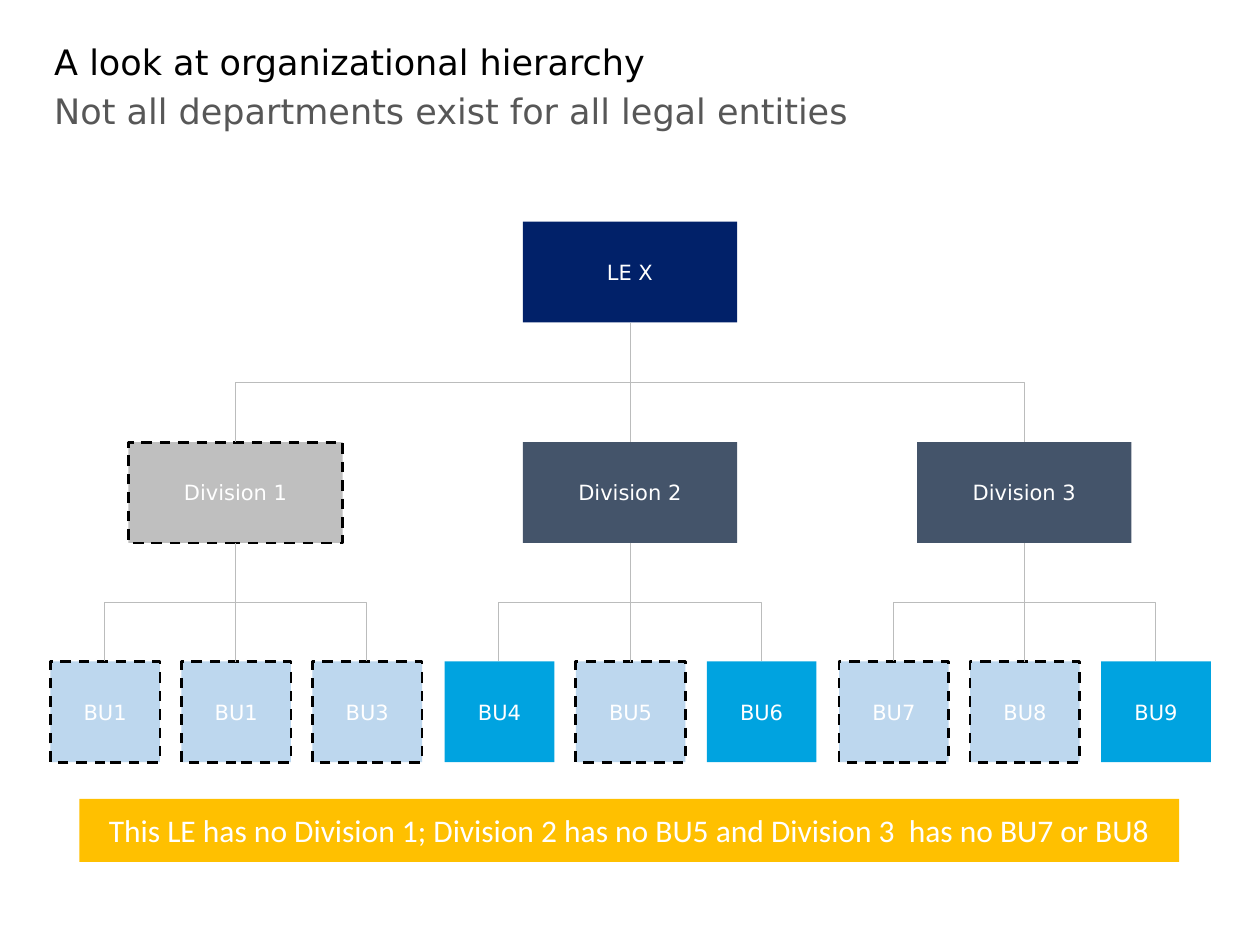
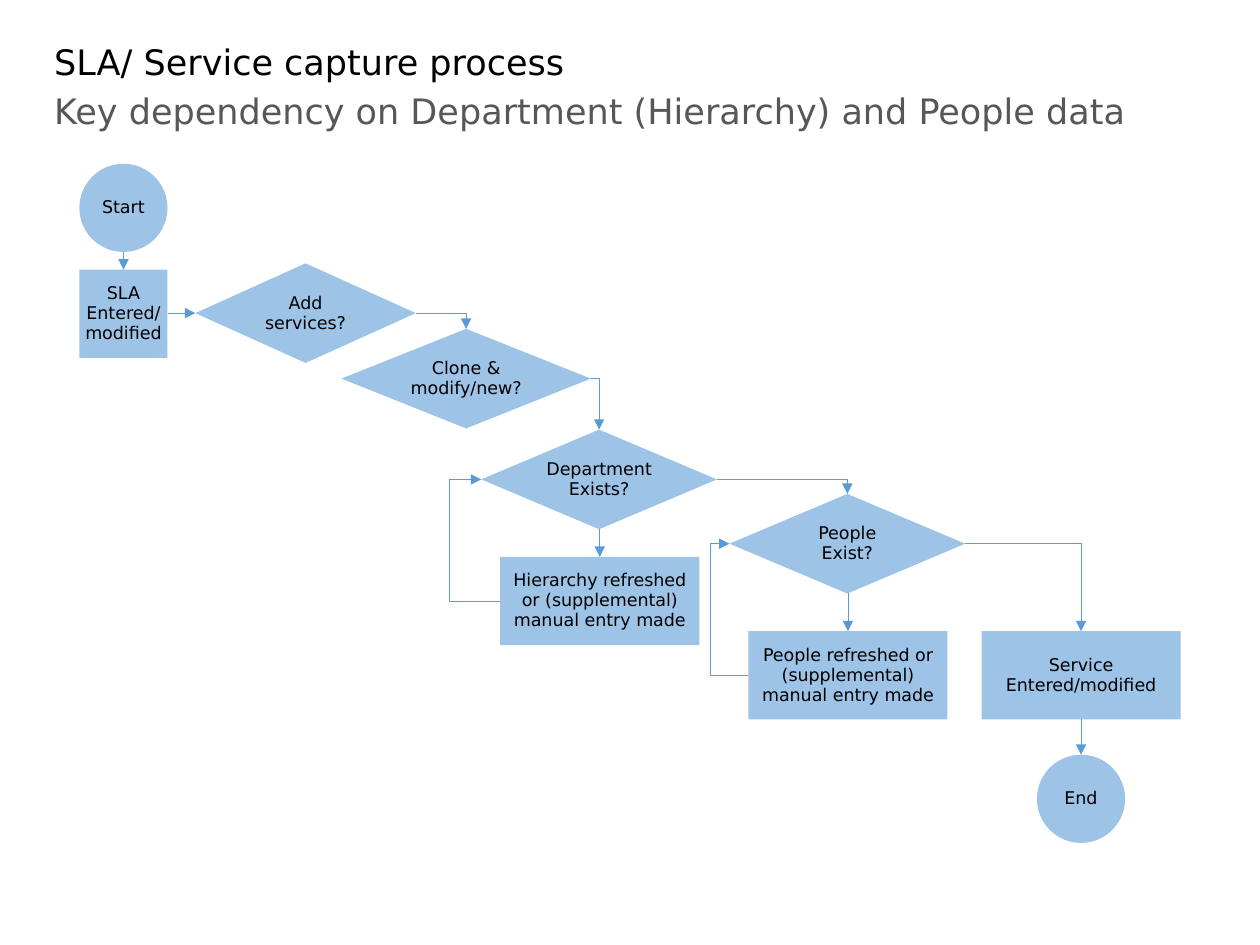
from lxml.etree import SubElement
from pptx import Presentation
from pptx.dml.color import RGBColor
from pptx.enum.dml import MSO_LINE
from pptx.enum.shapes import MSO_CONNECTOR as LINK, MSO_SHAPE as SHAPE
from pptx.enum.text import MSO_ANCHOR, MSO_AUTO_SIZE, PP_ALIGN
from pptx.oxml.ns import qn
from pptx.util import Pt

PX = 9144  # 100 px to the inch
BLACK = RGBColor(0x00, 0x00, 0x00)
WHITE = RGBColor(0xFF, 0xFF, 0xFF)
GREY_TEXT = RGBColor(0x57, 0x57, 0x57)
NAVY = RGBColor(0x01, 0x21, 0x69)
SLATE = RGBColor(0x44, 0x54, 0x6A)
ABSENT_GREY = RGBColor(0xBF, 0xBF, 0xBF)
ABSENT_BLUE = RGBColor(0xBD, 0xD7, 0xEE)
CYAN = RGBColor(0x00, 0xA3, 0xE0)
AMBER = RGBColor(0xFF, 0xC0, 0x00)
TREE_LINE = RGBColor(0xBB, 0xBC, 0xBC)
FLOW_FILL = RGBColor(0x9D, 0xC3, 0xE6)
FLOW_LINE = RGBColor(0x5B, 0x9B, 0xD5)
FONT = "DejaVu Sans"


def add_box(slide, kind, bounds, text, fill, color=WHITE, size=12, inset=10,
            font=FONT, spacing=None, dashed=False):
    box = slide.shapes.add_shape(kind, *(n * PX for n in bounds))
    box.shadow.inherit = False
    box.fill.solid()
    box.fill.fore_color.rgb = fill
    if dashed:
        box.line.color.rgb = BLACK
        box.line.width = Pt(1.5)
        box.line.dash_style = MSO_LINE.DASH
    else:
        box.line.fill.background()
    frame = box.text_frame
    frame.text = text
    frame.word_wrap = True
    frame.vertical_anchor = MSO_ANCHOR.MIDDLE
    frame.margin_left = frame.margin_right = inset * PX
    frame.margin_top = frame.margin_bottom = min(inset, 5) * PX
    paragraph = frame.paragraphs[0]
    paragraph.alignment = PP_ALIGN.CENTER
    paragraph.line_spacing = spacing
    run_font = paragraph.runs[0].font
    run_font.name, run_font.size, run_font.color.rgb = font, Pt(size), color


def add_link(slide, kind, start, end, color, rotation=0, flip=False, arrow=False):
    link = slide.shapes.add_connector(kind, *(int(n * PX) for n in (*start, *end)))
    link.line.color.rgb = color
    link.line.width = Pt(0.5)
    props = link.element.spPr
    if rotation:
        props.xfrm.set("rot", str(rotation * 60000))
    if flip:
        props.xfrm.set("flipH", "1")
    if arrow:
        SubElement(props.find(qn("a:ln")), qn("a:tailEnd"), type="triangle")
    SubElement(props, qn("a:effectLst"))
    return props.find(qn("a:prstGeom"))


prs = Presentation()
prs.slide_width, prs.slide_height = 1000 * PX, 750 * PX

# Titles and subtitles of both slides
headings = [
    ("A look at organizational hierarchy",
     "Not all departments exist for all legal entities"),
    ("SLA/ Service capture process",
     "Key dependency on Department (Hierarchy) and People data"),
]
for title_text, subtitle_text in headings:
    slide = prs.slides.add_slide(prs.slide_layouts[5])
    title = slide.shapes.title
    title.left, title.top, title.width, title.height = (n * PX for n in (43, 32, 913, 51))
    subtitle = slide.shapes.add_textbox(*(n * PX for n in (43, 71, 913, 83)))
    for part, text, color in ((title, title_text, BLACK), (subtitle, subtitle_text, GREY_TEXT)):
        frame = part.text_frame
        frame.text = text
        frame.word_wrap = True
        frame.auto_size = MSO_AUTO_SIZE.NONE
        frame.vertical_anchor = MSO_ANCHOR.TOP
        frame.margin_left = frame.margin_right = frame.margin_top = frame.margin_bottom = 0
        frame.paragraphs[0].alignment = PP_ALIGN.LEFT
        run_font = frame.paragraphs[0].runs[0].font
        run_font.name, run_font.size, run_font.color.rgb = FONT, Pt(20), color
hierarchy, process = prs.slides

# Hierarchy: legal entity, divisions and business units (True where present)
divisions = [
    ("Division 1", False, [("BU1", False), ("BU1", False), ("BU3", False)]),
    ("Division 2", True, [("BU4", True), ("BU5", False), ("BU6", True)]),
    ("Division 3", True, [("BU7", False), ("BU8", False), ("BU9", True)]),
]
ENTITY_X, ENTITY_Y, LEVEL, BOX_H = 500, 176, 175, 80
DIVISION_Y, UNIT_Y = ENTITY_Y + LEVEL, ENTITY_Y + 2 * LEVEL - 1
branches = []
add_box(hierarchy, SHAPE.RECTANGLE, (ENTITY_X - 85, ENTITY_Y, 170, BOX_H), "LE X", NAVY)
for i, (division, present, units) in enumerate(divisions):
    division_x = ENTITY_X + (i - 1) * 313
    add_box(hierarchy, SHAPE.RECTANGLE, (division_x - 85, DIVISION_Y, 170, BOX_H), division,
            SLATE if present else ABSENT_GREY, dashed=not present)
    branches.append((ENTITY_X, ENTITY_Y + BOX_H, division_x, DIVISION_Y))
    for j, (unit, present) in enumerate(units):
        unit_x = division_x + (j - 1) * 104
        add_box(hierarchy, SHAPE.RECTANGLE, (unit_x - 43, UNIT_Y, 87, BOX_H), unit,
                CYAN if present else ABSENT_BLUE, dashed=not present)
        branches.append((division_x, DIVISION_Y + BOX_H, unit_x, UNIT_Y))

# Tree lines: a bend that leaves downwards is a sideways elbow, turned
for x1, y1, x2, y2 in branches:
    if x1 == x2:
        add_link(hierarchy, LINK.STRAIGHT, (x1, y1), (x2, y2), TREE_LINE)
        continue
    mid_x, mid_y = (x1 + x2) / 2, (y1 + y2) / 2
    half_w, half_h = (y2 - y1) / 2, abs(x2 - x1) / 2
    add_link(hierarchy, LINK.ELBOW, (mid_x - half_w, mid_y - half_h),
             (mid_x + half_w, mid_y + half_h), TREE_LINE,
             rotation=270 if x2 > x1 else 90, flip=x2 > x1)

add_box(hierarchy, SHAPE.RECTANGLE, (63, 634, 873, 50),
        "This LE has no Division 1; Division 2 has no BU5 and Division 3  has no BU7 or BU8",
        AMBER, size=18, font="Calibri")

# Process steps
steps = {
    "start": (SHAPE.OVAL, (63, 130, 70, 70), "Start"),
    "sla": (SHAPE.RECTANGLE, (63, 214, 70, 70), "SLA Entered/modified"),
    "add": (SHAPE.DIAMOND, (155, 209, 175, 79), "Add services?"),
    "clone": (SHAPE.DIAMOND, (271, 261, 198, 79), "Clone & modify/new?"),
    "department": (SHAPE.DIAMOND, (382, 341, 187, 79), "Department Exists?"),
    "hierarchy": (SHAPE.RECTANGLE, (397, 442, 158, 70),
                  "Hierarchy refreshed or (supplemental) manual entry made"),
    "people": (SHAPE.DIAMOND, (579, 392, 187, 79), "People Exist?"),
    "refresh": (SHAPE.RECTANGLE, (594, 501, 158, 70),
                "People refreshed or (supplemental) manual entry made"),
    "service": (SHAPE.RECTANGLE, (779, 501, 158, 70), "Service Entered/modified"),
    "end": (SHAPE.OVAL, (823, 599, 70, 70), "End"),
}
for kind, bounds, text in steps.values():
    add_box(process, kind, bounds, text, FLOW_FILL, BLACK, size=10, inset=4, spacing=0.95)

# Process arrows; a number is the x of the lane of a loop back
flows = [
    ("start", "sla", "down"), ("sla", "add", "right"), ("add", "clone", "step"),
    ("clone", "department", "step"), ("department", "hierarchy", "down"),
    ("hierarchy", "department", 357), ("department", "people", "step"),
    ("people", "refresh", "down"), ("refresh", "people", 564),
    ("people", "service", "step"), ("service", "end", "down"),
]
for source, target, route in flows:
    x1, y1, w1, h1 = steps[source][1]
    x2, y2, w2, h2 = steps[target][1]
    center_x, center_y = x2 + w2 / 2, y2 + h2 / 2
    if route == "down":
        add_link(process, LINK.STRAIGHT, (center_x, y1 + h1), (center_x, y2),
                 FLOW_LINE, arrow=True)
    elif route == "right":
        add_link(process, LINK.STRAIGHT, (x1 + w1, center_y), (x2, center_y),
                 FLOW_LINE, arrow=True)
    elif route == "step":
        geometry = add_link(process, LINK.ELBOW, (x1 + w1, y1 + h1 / 2), (center_x, y2),
                            FLOW_LINE, arrow=True)
        geometry.set("prst", "bentConnector2")
    else:
        geometry = add_link(process, LINK.ELBOW, (x2, center_y), (x1, y1 + h1 / 2),
                            FLOW_LINE, rotation=180, arrow=True)
        bend = round((x1 - route) / (x1 - x2) * 100000)
        SubElement(geometry.find(qn("a:avLst")), qn("a:gd"), name="adj1", fmla=f"val {bend}")

prs.save("out.pptx")
